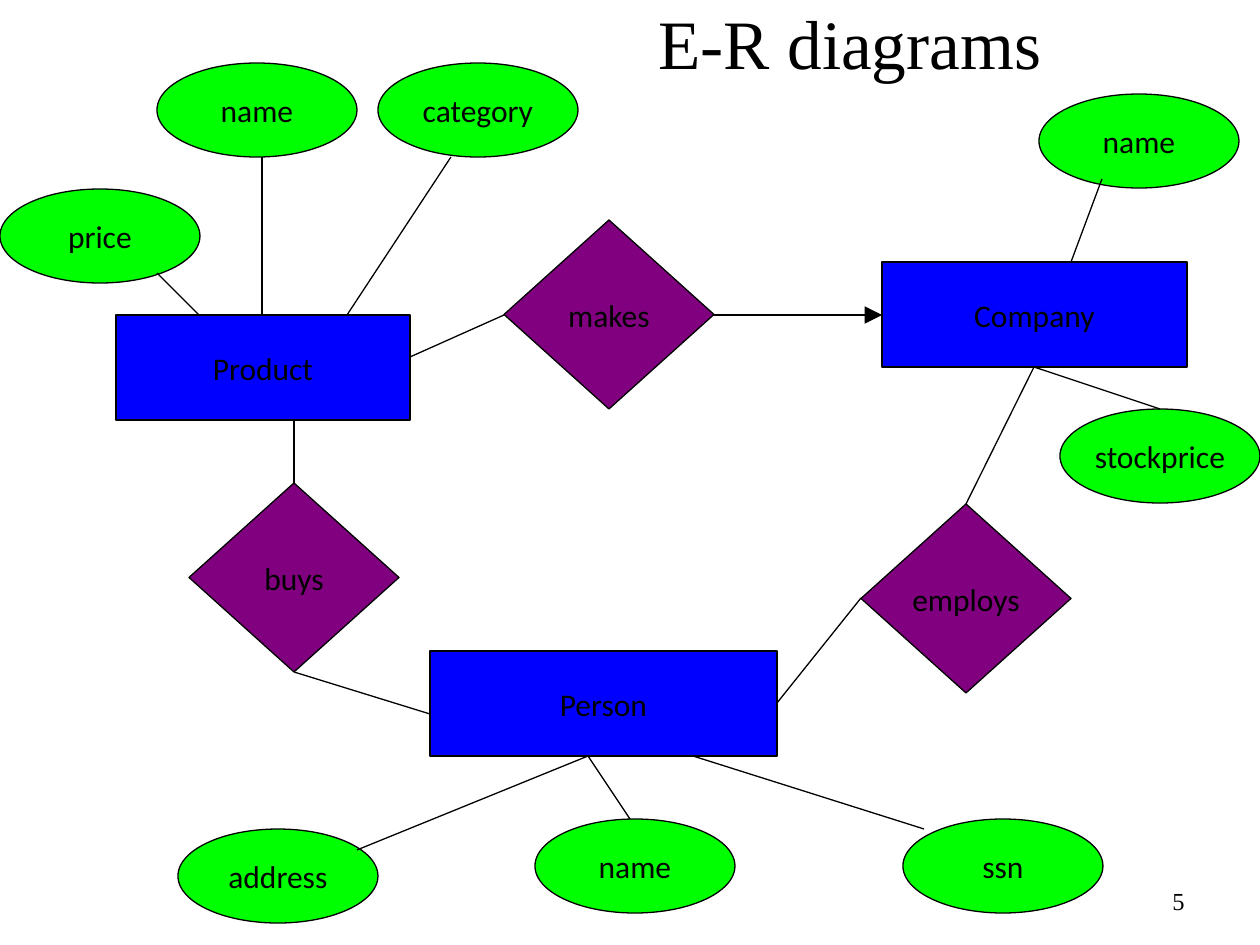
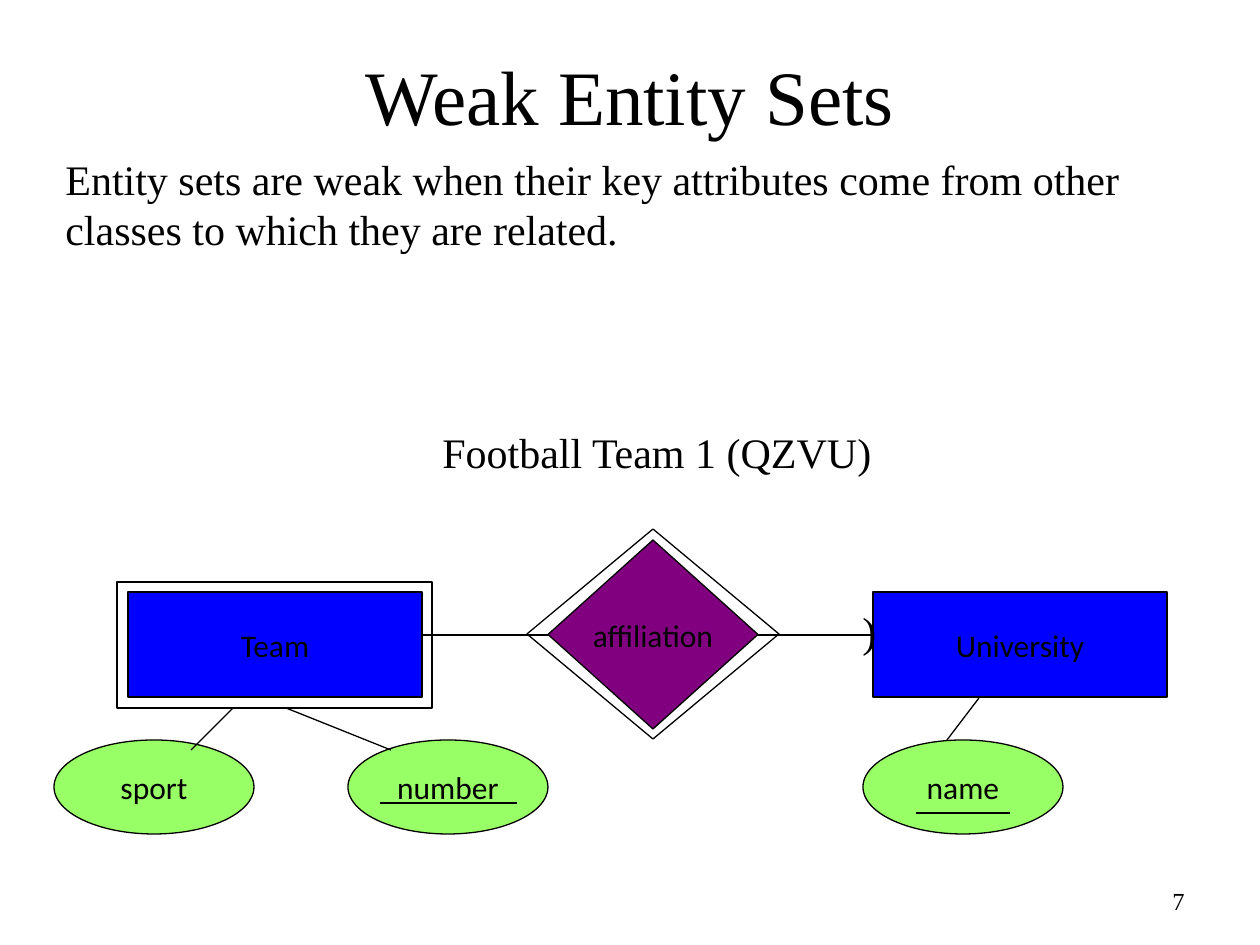
"""Builds two slides on entity-relationship diagrams."""
from dataclasses import dataclass

from pptx import Presentation
from pptx.dml.color import RGBColor
from pptx.enum.shapes import MSO_CONNECTOR as Connector, MSO_SHAPE as Shape
from pptx.enum.text import MSO_ANCHOR as Anchor, PP_ALIGN as Align
from pptx.oxml.ns import qn
from pptx.util import Pt
from lxml.etree import SubElement

SCALE = 914400 / 126


@dataclass(frozen=True)
class Theme:
    black: RGBColor = RGBColor(0, 0, 0)
    entity: RGBColor = RGBColor(0, 0, 255)
    relation: RGBColor = RGBColor(128, 0, 128)
    attribute: RGBColor = RGBColor(0, 255, 0)
    soft_attribute: RGBColor = RGBColor(153, 255, 102)
    serif: str = "Times New Roman"
    sans: str = "Calibri"
    small_title: float = 39.6
    title: float = 44
    body: float = 24
    label: float = 18
    number: float = 14
    stroke: float = 0.75


THEME = Theme()
ATTRIBUTE_SIZE = (200, 94)
RELATION_SIZE = (210, 189)
ENTITY_HEIGHT = 105


def emu(*pixels):
    return [round(pixel * SCALE) for pixel in pixels]


def style(para, size, font, align):
    para.alignment = align
    para.font.size = Pt(size)
    para.font.name = font
    para.font.color.rgb = THEME.black


def add_text(page, box, lines, size, align=Align.LEFT, anchor=Anchor.TOP, wrap=False):
    frame = page.shapes.add_textbox(*emu(*box)).text_frame
    frame.word_wrap = wrap
    frame.vertical_anchor = anchor
    for index, line in enumerate(lines):
        para = frame.add_paragraph() if index else frame.paragraphs[0]
        para.text = line
        style(para, size, THEME.serif, align)


def add_title(page, box, text, size):
    add_text(page, box, [text], size, Align.CENTER, Anchor.MIDDLE, True)


def add_number(page, number):
    box = (903, 876, 294, 50)
    add_text(page, box, [str(number)], THEME.number, Align.RIGHT, Anchor.MIDDLE, True)


def add_outline(page, kind, box):
    shape = page.shapes.add_shape(kind, *emu(*box))
    shape.shadow.inherit = False
    shape.fill.background()
    shape.line.color.rgb = THEME.black
    shape.line.width = Pt(THEME.stroke)
    return shape


def add_node(page, kind, box, fill, text):
    shape = add_outline(page, kind, box)
    shape.fill.solid()
    shape.fill.fore_color.rgb = fill
    frame = shape.text_frame
    frame.word_wrap = False
    frame.vertical_anchor = Anchor.MIDDLE
    frame.text = text
    style(frame.paragraphs[0], THEME.label, THEME.sans, Align.CENTER)


def add_entities(page, entities):
    for text, left, top, width in entities:
        box = (left, top, width, ENTITY_HEIGHT)
        add_node(page, Shape.RECTANGLE, box, THEME.entity, text)


def add_relations(page, relations):
    for text, left, top in relations:
        add_node(page, Shape.DIAMOND, (left, top, *RELATION_SIZE), THEME.relation, text)


def add_attributes(page, attributes, fill):
    for text, left, top in attributes:
        add_node(page, Shape.OVAL, (left, top, *ATTRIBUTE_SIZE), fill, text)


def add_line(page, ends, arrow=False):
    line = page.shapes.add_connector(Connector.STRAIGHT, *emu(*ends))
    line.line.color.rgb = THEME.black
    line.line.width = Pt(THEME.stroke)
    if arrow:
        outline = line.line._get_or_add_ln()
        SubElement(outline, qn("a:tailEnd"), type="triangle", w="lg", len="lg")
    SubElement(line._element.spPr, qn("a:effectLst"))


def add_lines(page, lines):
    for ends in lines:
        add_line(page, ends)


def build_diagram(page):
    add_number(page, 5)
    add_attributes(page, [
        ("address", 178, 829), ("name", 535, 819), ("ssn", 903, 819),
        ("name", 157, 63), ("category", 378, 63), ("stockprice", 1060, 409),
        ("name", 1039, 94), ("price", 0, 189),
    ], THEME.attribute)
    add_entities(page, [
        ("Person", 430, 651, 347), ("Company", 882, 262, 305), ("Product", 116, 315, 294),
    ])
    add_relations(page, [("buys", 189, 483), ("makes", 504, 220), ("employs", 861, 504)])
    add_line(page, (714, 315, 882, 315), arrow=True)
    add_lines(page, [
        (199, 315, 157, 273), (262, 315, 262, 157), (347, 315, 451, 157),
        (504, 315, 410, 357), (294, 483, 294, 420), (294, 672, 430, 714),
        (1071, 262, 1102, 179), (861, 598, 777, 703), (588, 756, 357, 850),
        (588, 756, 630, 819), (693, 756, 924, 829), (966, 504, 1034, 367),
        (1034, 367, 1160, 409),
    ])
    add_title(page, (577, 10, 546, 63), "E-R diagrams", THEME.small_title)


def build_weak_sets(page):
    add_number(page, 7)
    add_title(page, (63, 16, 1134, 158), "Weak Entity Sets", THEME.title)
    add_text(page, (53, 147, 1090, 165), [
        "Entity sets are weak when their key attributes come from other",
        "classes to which they are related.",
    ], THEME.body)
    add_entities(page, [("University", 873, 592, 294), ("Team", 128, 592, 294)])
    add_relations(page, [("affiliation", 548, 540)])
    add_attributes(page, [
        ("number", 348, 740), ("sport", 54, 740), ("name", 863, 740),
    ], THEME.soft_attribute)
    add_outline(page, Shape.RECTANGLE, (117, 582, 315, 126))
    add_outline(page, Shape.DIAMOND, (527, 529, 252, 210))
    add_lines(page, [
        (548, 635, 422, 635), (758, 635, 873, 635), (380, 803, 517, 803),
        (916, 813, 1010, 813), (233, 708, 191, 750), (286, 708, 391, 750),
        (979, 698, 947, 740),
    ])
    add_text(page, (850, 599, 39, 63), [")"], THEME.body)
    add_text(page, (430, 420, 459, 64), ["Football Team 1 (QZVU)"], THEME.body)


def main():
    deck = Presentation()
    deck.slide_width, deck.slide_height = emu(1260, 945)
    for build in (build_diagram, build_weak_sets):
        build(deck.slides.add_slide(deck.slide_layouts[6]))
    deck.save("out.pptx")


main()
